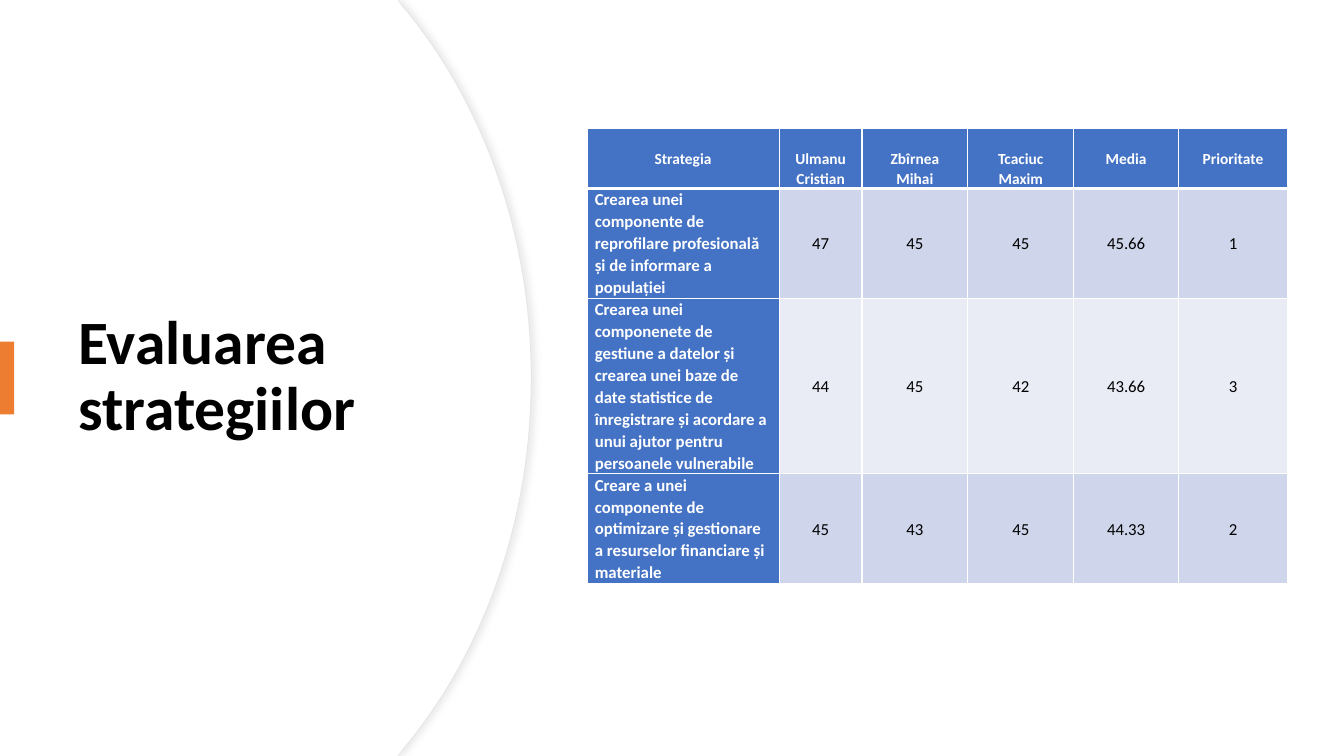
from lxml.etree import SubElement as Sub
from pptx import Presentation
from pptx.dml.color import RGBColor
from pptx.enum.shapes import MSO_SHAPE as Kind
from pptx.enum.text import MSO_ANCHOR as Anchor, PP_ALIGN as Align
from pptx.oxml.ns import qn
from pptx.util import Inches, Pt

BLUE, WHITE, BLACK = "4472C4", "FFFFFF", "000000"
BANDS = ["CFD5EA", "E9EBF5"]
COLS = [1.9, 0.82, 1.05, 1.05, 1.04, 1.08]
ROWS = [0.6, 1.09, 1.74, 1.09]
HEADS = ["Strategia", "Ulmanu Cristian", "Zbîrnea\nMihai",
         "Tcaciuc\nMaxim", "Media", "Prioritate"]
DATA = [
    ["Crearea unei componente de reprofilare profesională și de informare "
     "a populației", "47", "45", "45", "45.66", "1"],
    ["Crearea unei componenete de gestiune a datelor și crearea unei baze de "
     "date statistice de înregistrare și acordare a unui ajutor pentru "
     "persoanele vulnerabile", "44", "45", "42", "43.66", "3"],
    ["Creare a unei componente de optimizare și gestionare a resurselor "
     "financiare și materiale", "45", "43", "45", "44.33", "2"],
]


def color(code):
    """Turn a hex string into a colour."""
    return RGBColor.from_string(code)


def paint(item, code):
    """Fill a shape or cell with one colour."""
    item.fill.solid()
    item.fill.fore_color.rgb = color(code)


def write(frame, text, size, code, bold, align, space):
    """Write one paragraph for each line of text."""
    frame.word_wrap = True
    for i, line in enumerate(text.split("\n")):
        para = frame.add_paragraph() if i else frame.paragraphs[0]
        para.alignment = align
        para.line_spacing = space
        run = para.add_run()
        run.text = line
        font = run.font
        font.name, font.size, font.bold = "Calibri", Pt(size), bold
        font.color.rgb = color(code)


def bend(line, points):
    """Turn a straight segment into a curve through three points."""
    line.tag = qn("a:cubicBezTo")
    for spot in list(line):
        line.remove(spot)
    for x, y in points:
        Sub(line, qn("a:pt"), x=str(Inches(x)), y=str(Inches(y)))


def panel(slide, left, top, wide, high):
    """Draw a white panel with a round right edge."""
    flat, near, far = 3.94, wide - 1.26, wide - 0.48
    mid = high / 2
    edge = [(flat, 0), (near, 0.08), (wide, mid), (near, high - 0.08),
            (flat, high), (0, high)]
    pen = slide.shapes.build_freeform(0, 0, scale=1.0)
    pen.add_line_segments([(Inches(x), Inches(y)) for x, y in edge])
    shape = pen.convert_to_shape(Inches(left), Inches(top))
    lines = list(shape._element.iter(qn("a:lnTo")))
    bend(lines[2], [(far, 1.02), (wide, 2.32), (wide, mid)])
    bend(lines[3], [(wide, high - 2.32), (far, high - 1.02),
                    (near, high - 0.08)])
    shape.shadow.inherit = False
    paint(shape, WHITE)
    shape.line.fill.background()
    return shape


def rim(shape):
    """Give the panel a thin line and a soft shadow."""
    shape.line.color.rgb = color("E6E6E6")
    shape.line.width = Pt(0.75)
    glow = shape._element.spPr.find(qn("a:effectLst"))
    cast = Sub(glow, qn("a:outerShdw"), blurRad=str(Pt(4)), dist=str(Pt(3)),
               dir="0", algn="l", rotWithShape="0")
    tint = Sub(cast, qn("a:srgbClr"), val="D9D9D9")
    Sub(tint, qn("a:alpha"), val="50000")


def title(slide, left, top, wide, high):
    """Place the title and the accent bar at the slide edge."""
    box = slide.shapes.add_textbox(*map(Inches, (left, top, wide, high)))
    box.text_frame.vertical_anchor = Anchor.MIDDLE
    write(box.text_frame, "Evaluarea strategiilor", 44, BLACK, True,
          Align.LEFT, 0.9)
    bar = slide.shapes.add_shape(
        Kind.RECTANGLE, 0, Inches(top + 2.12), Inches(0.14), Inches(0.72))
    bar.shadow.inherit = False
    paint(bar, "ED7D31")
    bar.line.fill.background()


def border(cell, row):
    """Draw white borders, thick below the header."""
    thick = {"T": row == 1, "B": row == 0}
    for side in "LRTB":
        line = Sub(cell._tc.get_or_add_tcPr(), qn("a:ln" + side),
                   w=str(Pt(3 if thick.get(side) else 1)))
        Sub(Sub(line, qn("a:solidFill")), qn("a:srgbClr"), val=WHITE)


def fill(cell, text, row, col):
    """Style and fill one table cell."""
    head, first = row == 0, col == 0
    solid = head or first
    border(cell, row)
    paint(cell, BLUE if solid else BANDS[(row - 1) % 2])
    cell.margin_left = Inches(0.07)
    cell.margin_right = Inches(0.08 if first else 0.07)
    cell.margin_top = Inches(0.2 if head else 0)
    cell.margin_bottom = 0
    cell.vertical_anchor = Anchor.TOP if solid else Anchor.MIDDLE
    write(cell.text_frame, text, 11 if head else 12,
          WHITE if solid else BLACK, solid,
          Align.LEFT if first and not head else Align.CENTER, 1.07)


def scores(slide, left, top, wide, high):
    """Place the table of strategy scores."""
    grid = slide.shapes.add_table(
        len(ROWS), len(COLS), *map(Inches, (left, top, wide, high))).table
    for col, size in zip(grid.columns, COLS):
        col.width = Inches(size)
    for row, size in zip(grid.rows, ROWS):
        row.height = Inches(size)
    for r, texts in enumerate([HEADS, *DATA]):
        for c, text in enumerate(texts):
            fill(grid.cell(r, c), text, r, c)


def main():
    """Build and save the slide."""
    deck = Presentation()
    deck.slide_width, deck.slide_height = Inches(13.33), Inches(7.5)
    slide = deck.slides.add_slide(deck.slide_layouts[6])
    rim(panel(slide, 0, 0, 5.27, 7.5))
    panel(slide, 0, 0, 5.26, 7.5)
    title(slide, 0.68, 1.27, 3.94, 4.95)
    scores(slide, 5.83, 1.27, sum(COLS), sum(ROWS))
    deck.save("out.pptx")


if __name__ == "__main__":
    main()
